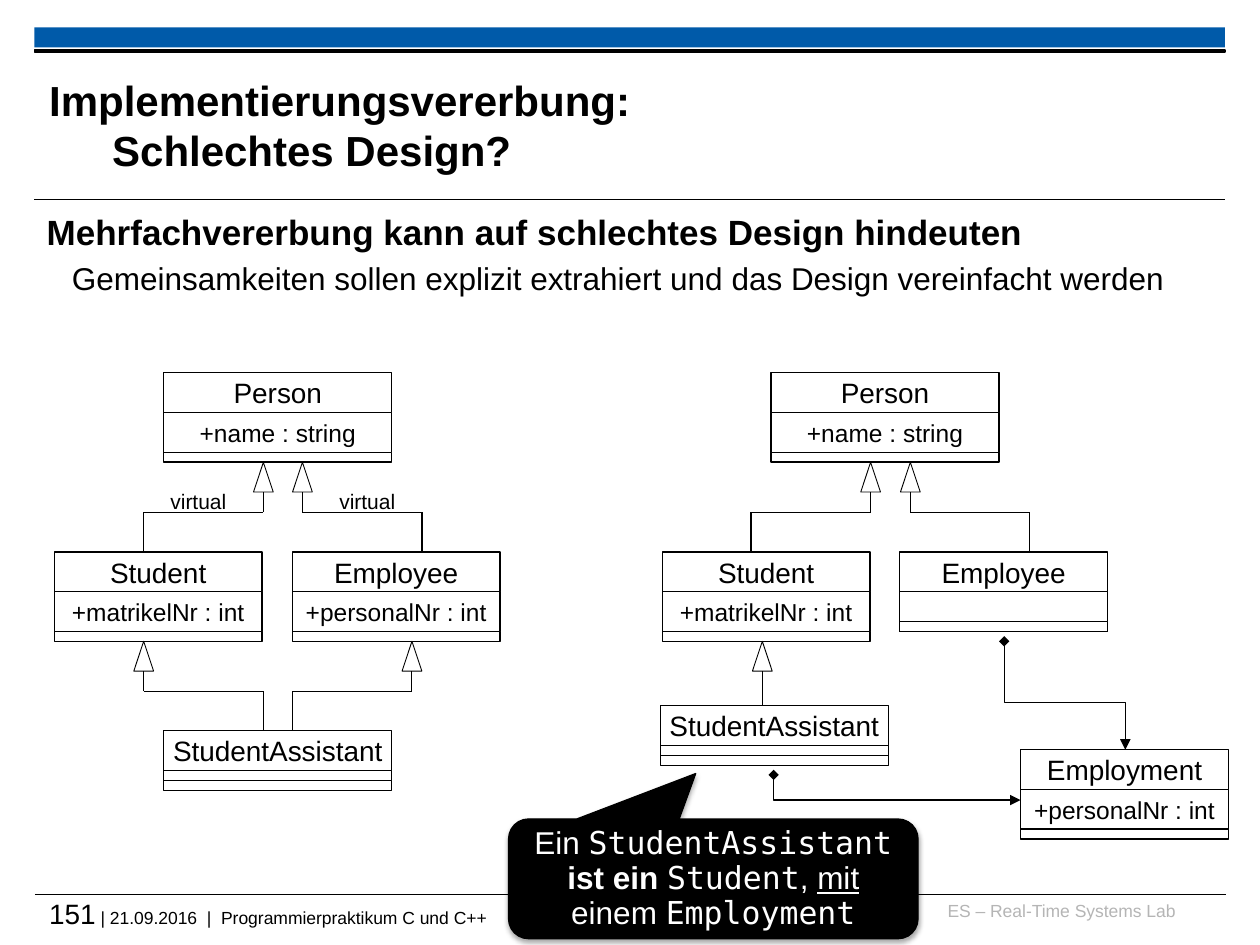
from lxml.etree import SubElement as Sub
from pptx import Presentation
from pptx.dml.color import RGBColor as RGB
from pptx.enum.shapes import MSO_CONNECTOR as CONN, MSO_SHAPE as SHAPE
from pptx.enum.text import MSO_ANCHOR as ANCHOR, PP_ALIGN as ALIGN
from pptx.oxml.ns import qn
from pptx.util import Pt

THEME = dict(
    font="Arial", mono="DejaVu Sans Mono",
    black="000000", white="FFFFFF", blue="005AA9", gray="B5B5B5",
    title=24, head=20, body=18, name=16, attr=14, label=12, foot=10,
    thin=0.5, line=0.75, rule=0.6,
)
T = THEME
ROW, STRIP = 22.7, 5.7          # compartment heights of a class box
WIDE, NARROW = 130.3, 118.8     # class box widths
TRI_W, TRI_H, BEND = 11.3, 17, 28.5

# Class boxes: left, top, width, name, attribute (None: no attribute row)
CLASSES = [
    (93.6, 213, WIDE, "Person", "+name : string"),
    (31, 315.4, NARROW, "Student", "+matrikelNr : int"),
    (167, 315.4, NARROW, "Employee", "+personalNr : int"),
    (93.6, 417.6, WIDE, "StudentAssistant", None),
    (440.6, 213, WIDE, "Person", "+name : string"),
    (378.4, 315.4, NARROW, "Student", "+matrikelNr : int"),
    (514.1, 315.4, NARROW, "Employee", ""),
    (377.3, 403.2, WIDE, "StudentAssistant", None),
    (583.2, 428.4, NARROW, "Employment", "+personalNr : int"),
]
# Inheritance: arrow tip x, tip y, child x, child top
INHERITS = [
    (150.5, 264.2, 82.1, 315.4), (172.8, 264.2, 241.2, 315.4),
    (82.1, 366.5, 150.5, 417.6), (235.4, 366.5, 167, 417.6),
    (497.5, 264.2, 429.1, 315.4), (520.2, 264.2, 588.2, 315.4),
    (435.6, 366.5, 435.6, 403.2),
]
# Composition: from x, from y, to x, to y, preset, bend share
COMPOSED = [
    (442.1, 442.8, 583.2, 457.2, "bentConnector2", None),
    (573.8, 366.5, 643, 428.4, "bentConnector3", 0.565),
]
VIRTUAL_LABELS = [82.1, 178.6]

TITLE = [[("Implementierungsvererbung: \v\tSchlechtes Design?", {})]]
BODY = [
    [("Mehrfachvererbung kann auf schlechtes Design hindeuten", dict(size=T["head"], bold=True))],
    [("Gemeinsamkeiten sollen explizit extrahiert und das Design vereinfacht werden", {})],
]
FOOTER = [[("151", dict(size=T["name"])),
           (" | 21.09.2016  |  Programmierpraktikum C und C++", {})]]
MONO = dict(font=T["mono"])
CALLOUT = [
    [("Ein ", {}), ("StudentAssistant", MONO)],
    [("ist ein ", dict(bold=True)), ("Student", MONO), (", ", {}),
     ("mit ", dict(underline=True)), ("einem ", {}), ("Employment", MONO)],
]

prs = Presentation()
prs.slide_width, prs.slide_height = Pt(720), Pt(540)
s = prs.slides.add_slide(prs.slide_layouts[6])


def color(name):
    return RGB.from_string(T[name])


def write(sp, paras, size, ink="black", bold=False, align=ALIGN.LEFT,
          anchor=ANCHOR.TOP, wrap=True, inset=None, spacing=None):
    """Fill a shape with text: a string, or paragraphs made of (text, format) runs."""
    tf = sp.text_frame
    tf.word_wrap, tf.vertical_anchor = wrap, anchor
    if inset is not None:
        tf.margin_left = tf.margin_right = tf.margin_top = tf.margin_bottom = Pt(inset)
    if isinstance(paras, str):
        paras = [[(paras, {})]]
    for i, runs in enumerate(paras):
        p = tf.add_paragraph() if i else tf.paragraphs[0]
        p.alignment = align
        if spacing:
            p.line_spacing = spacing
        for text, fmt in runs:
            for j, part in enumerate(text.split("\v")):
                if j:
                    p.add_line_break()
                r = p.add_run()
                r.text = part
                f = r.font
                f.name, f.size = fmt.get("font", T["font"]), Pt(fmt.get("size", size))
                f.bold = fmt.get("bold", bold)
                f.underline = fmt.get("underline", False)
                f.color.rgb = color(ink)
    return tf


def textbox(x, y, w, h, paras, size, **fmt):
    return write(s.shapes.add_textbox(Pt(x), Pt(y), Pt(w), Pt(h)), paras, size, **fmt)


def shape(kind, x, y, w, h, fill="white", width=T["line"]):
    sp = s.shapes.add_shape(kind, Pt(x), Pt(y), Pt(w), Pt(h))
    sp.shadow.inherit = False
    sp.fill.solid()
    sp.fill.fore_color.rgb = color(fill)
    if width:
        sp.line.color.rgb, sp.line.width = color("black"), Pt(width)
    else:
        sp.line.fill.background()
    return sp


def connect(x1, y1, x2, y2, width=T["line"], kind=CONN.STRAIGHT):
    c = s.shapes.add_connector(kind, Pt(x1), Pt(y1), Pt(x2), Pt(y2))
    c.line.color.rgb, c.line.width = color("black"), Pt(width)
    Sub(c._element.spPr, qn("a:effectLst"))
    return c


def class_box(x, y, w, name, attr):
    def row(top, h, text="", size=T["name"]):
        sp = shape(SHAPE.RECTANGLE, x, top, w, h)
        if text:
            write(sp, text, size, align=ALIGN.CENTER, anchor=ANCHOR.MIDDLE, wrap=False)

    row(y, ROW, name)
    below = y + ROW
    if attr is None:
        row(below, STRIP)
        row(below + STRIP, STRIP)
    else:
        row(below, ROW, attr, T["attr"])
        # An empty attribute row holds the operations strip inside it
        row(below + ROW - (0 if attr else STRIP), STRIP)


def inherit(tip_x, tip_y, child_x, child_y):
    base, bend = tip_y + TRI_H, tip_y + BEND
    shape(SHAPE.ISOSCELES_TRIANGLE, tip_x - TRI_W / 2, tip_y, TRI_W, TRI_H, width=T["thin"])
    if tip_x == child_x:
        connect(tip_x, base, child_x, child_y, T["thin"])
        return
    connect(tip_x, base, tip_x, bend, T["thin"])
    connect(min(tip_x, child_x), bend, max(tip_x, child_x), bend)
    connect(child_x, bend, child_x, child_y)


def compose(x1, y1, x2, y2, preset, share):
    # The elbow leaves downwards: a box with swapped sides, turned and flipped
    cx, cy, w, h = (x1 + x2) / 2, (y1 + y2) / 2, y2 - y1, x2 - x1
    c = connect(cx - w / 2, cy - h / 2, cx + w / 2, cy + h / 2, kind=CONN.ELBOW)
    sp_pr = c._element.spPr
    xfrm, geom = sp_pr.find(qn("a:xfrm")), sp_pr.find(qn("a:prstGeom"))
    xfrm.set("rot", str(270 * 60000))
    xfrm.set("flipH", "1")
    geom.set("prst", preset)
    if share:
        Sub(geom.find(qn("a:avLst")), qn("a:gd"), name="adj1", fmla=f"val {round(share * 100000)}")
    ln = sp_pr.find(qn("a:ln"))
    Sub(ln, qn("a:headEnd"), type="diamond", w="med", len="med")
    Sub(ln, qn("a:tailEnd"), type="triangle", w="med", len="med")


# Page frame and footer
connect(20, 511.2, 700.4, 511.2, T["rule"])
shape(SHAPE.RECTANGLE, 19.6, 15.7, 680.4, 11.4, "blue", None)
connect(19.6, 114.2, 700, 114.2, T["rule"])
shape(SHAPE.RECTANGLE, 19.6, 28.6, 680.4, 1.2, "black")
textbox(529.9, 514.1, 141.8, 18, "ES – Real-Time Systems Lab", T["foot"],
        ink="gray", align=ALIGN.RIGHT, inset=0)
textbox(28.1, 512.6, 671.8, 23.8, FOOTER, T["foot"], inset=0)

# Title and statement
textbox(28.1, 38.2, 541.4, 66.2, TITLE, T["title"], bold=True, anchor=ANCHOR.MIDDLE, inset=0)
body = textbox(19.6, 116.6, 680.4, 68.4, BODY, T["body"])
detail = body.paragraphs[1]
detail.space_before = Pt(3.6)
pPr = detail._p.get_or_add_pPr()
pPr.set("marL", str(Pt(14.4)))
pPr.set("indent", "0")

# Class diagrams
for box in CLASSES:
    class_box(*box)
for link in INHERITS:
    inherit(*link)
for x in VIRTUAL_LABELS:
    textbox(x, 275.8, 62.6, 21.6, "virtual", T["label"], align=ALIGN.CENTER)
for link in COMPOSED:
    compose(*link)

# Callout with a soft shadow
note = shape(SHAPE.ROUNDED_RECTANGULAR_CALLOUT, 290.6, 468, 234, 68.4, "black")
for i, value in enumerate((-0.043, -0.88, 0.167)):
    note.adjustments[i] = value
shadow = Sub(note._element.spPr.find(qn("a:effectLst")), qn("a:outerShdw"),
             blurRad=str(Pt(3.1)), dist=str(Pt(1.8)), dir=str(90 * 60000), rotWithShape="0")
Sub(Sub(shadow, qn("a:srgbClr"), val=T["black"]), qn("a:alpha"), val="35000")
write(note, CALLOUT, T["body"], ink="white", align=ALIGN.CENTER,
      anchor=ANCHOR.MIDDLE, spacing=0.93)

prs.save("out.pptx")
